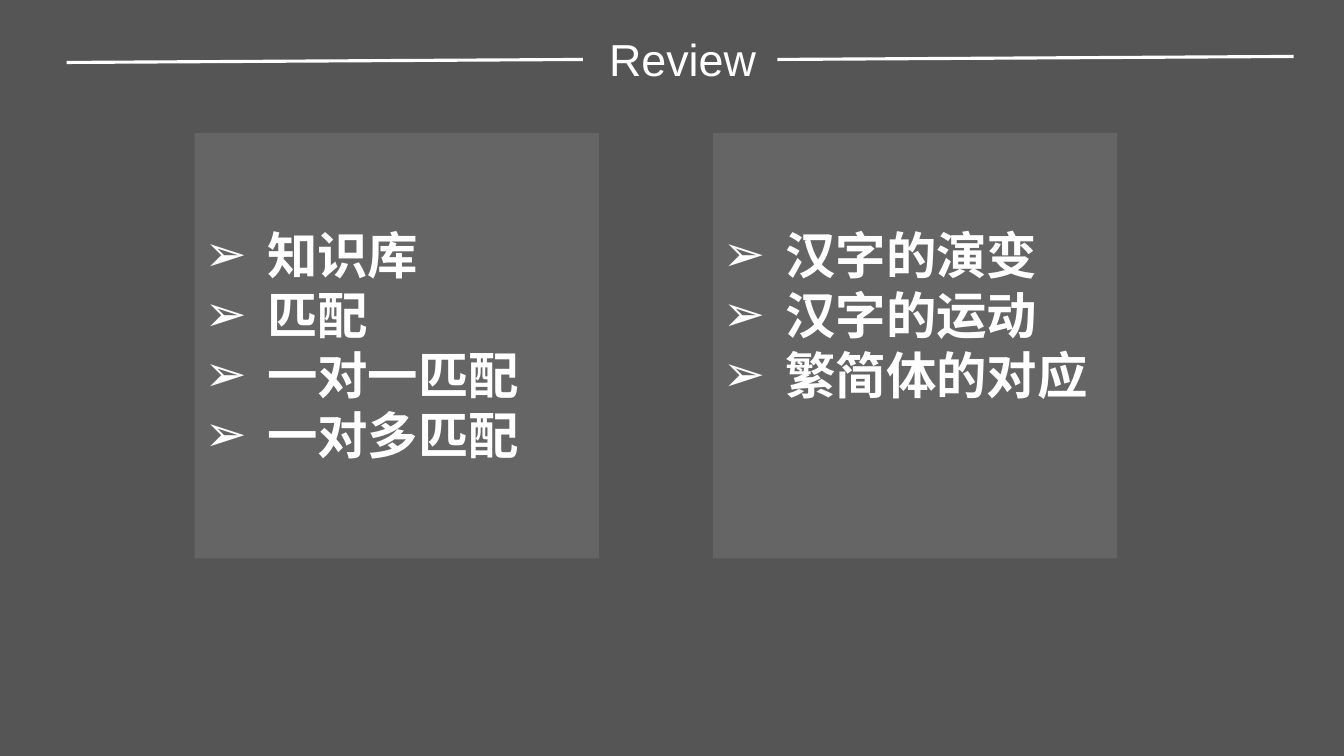
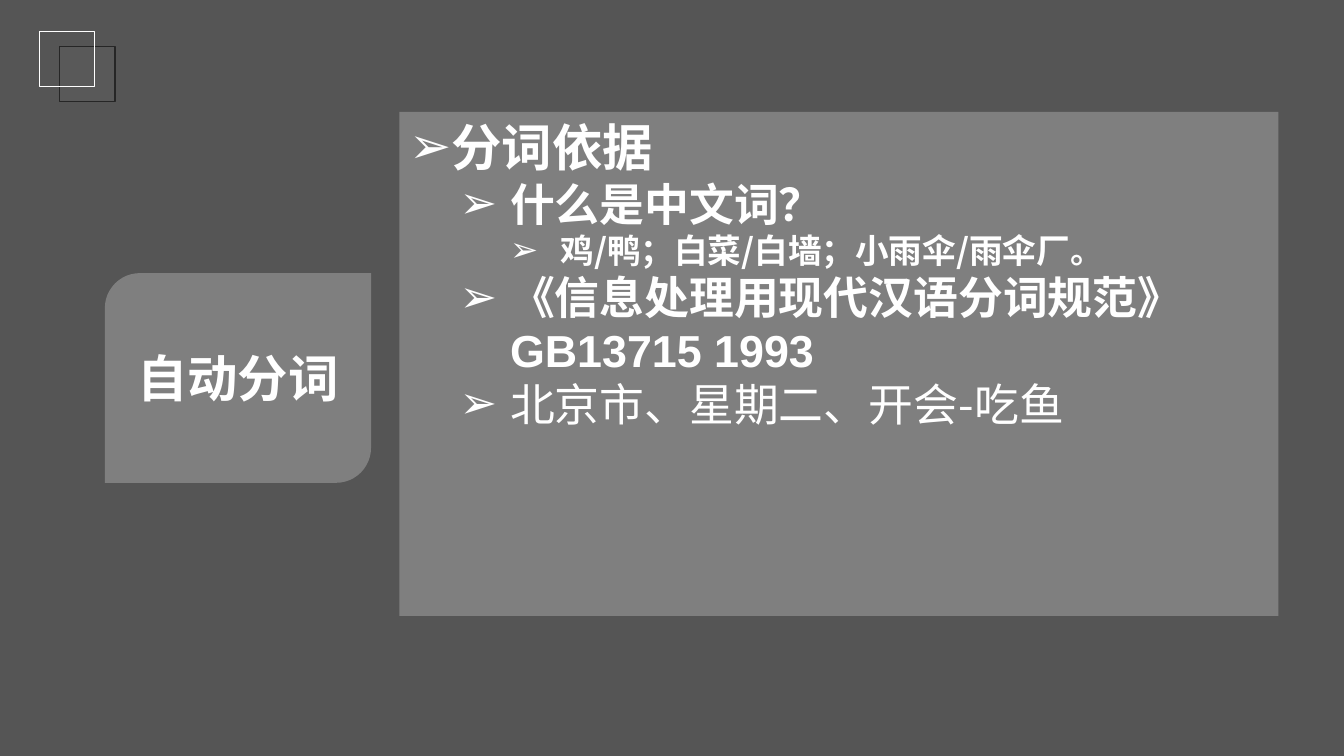
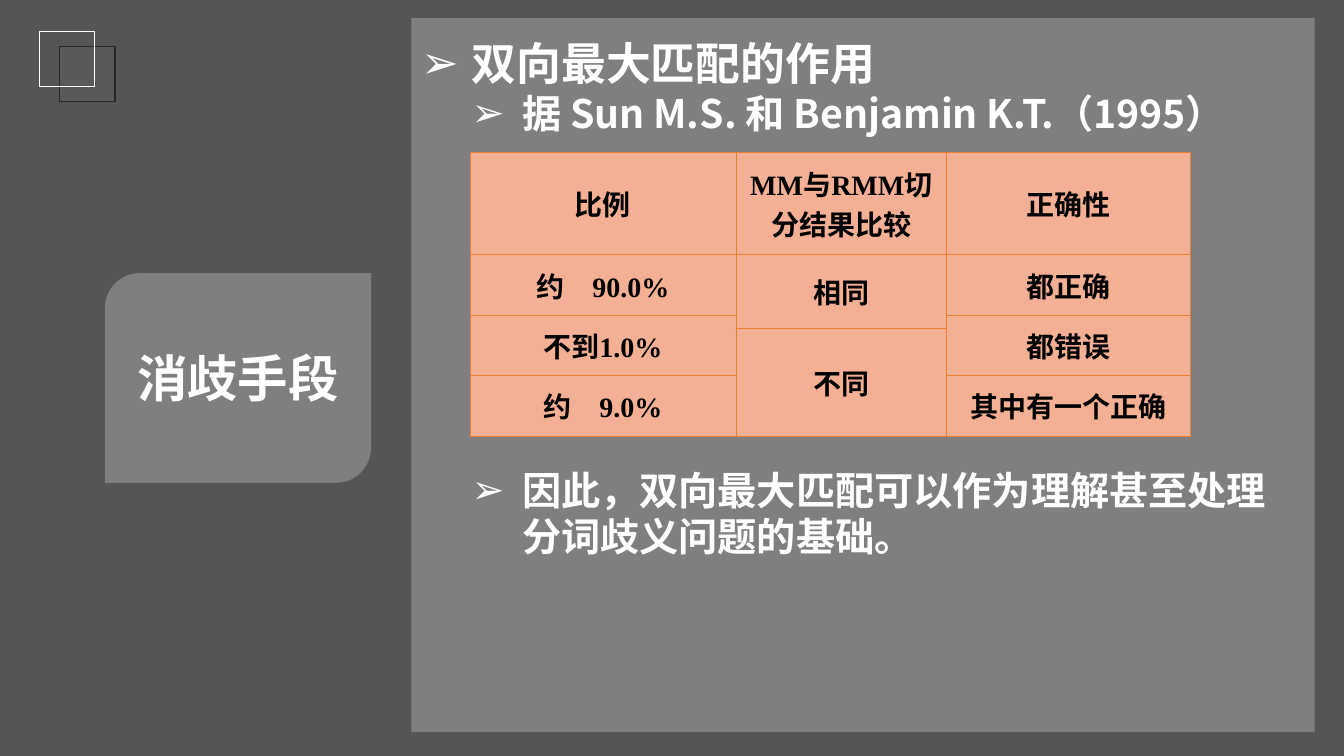
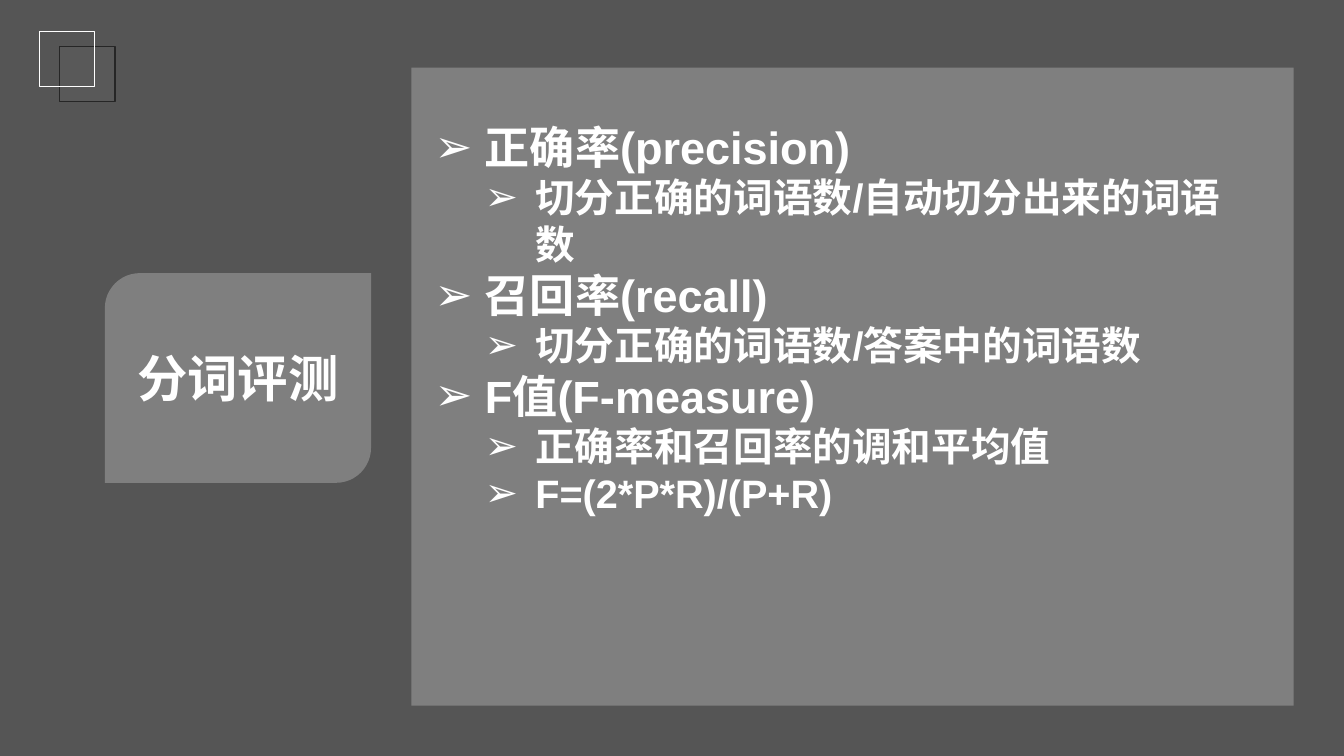
import pptx
import pptx.util
import pptx.dml.color
import pptx.enum.shapes
import pptx.enum.text
import pptx.oxml.ns
import lxml.etree

Inches = pptx.util.Inches
Pt = pptx.util.Pt
SHAPE = pptx.enum.shapes.MSO_SHAPE
ALIGN = pptx.enum.text.PP_ALIGN
ANCHOR = pptx.enum.text.MSO_ANCHOR
qn = pptx.oxml.ns.qn

# Shared style
BACK, WHITE, BLACK = "555555", "FFFFFF", "000000"
PEACH, ORANGE = "F4B095", "ED7D31"
NOTO, ARIAL, TIMES = "Noto Sans CJK SC", "Arial", "Times New Roman"
LEAD = 1.19  # line pitch as a multiple of the text size

# Content: bullet rows are (left margin, indent, size, text, options)
REVIEW = [
    (1.93, ["知识库", "匹配", "一对一匹配", "一对多匹配"]),
    (7.07, ["汉字的演变", "汉字的运动", "繁简体的对应"]),
]
RULES = [((0.66, 0.62), (5.78, 0.59)), ((7.71, 0.59), (12.83, 0.56))]

# Insets are left, top, right
TOPICS = [
    dict(label="自动分词", box=(3.96, 1.11, 8.72, 5), inset=(0.1, 0.05, 0.3), rows=[
        (0, -0.5, 36, "分词依据", {}),
        (1, -0.5, 32, "什么是中文词？", {}),
        (1.5, -0.5, 24, "鸡/鸭；白菜/白墙；小雨伞/雨伞厂。", {}),
        (1, -0.5, 32, "《信息处理用现代汉语分词规范》GB13715 1993", {"font": ARIAL}),
        (1, -0.5, 32, "北京市、星期二、开会-吃鱼", {"bold": False}),
    ]),
    dict(label="消歧手段", box=(4.08, 0.18, 8.96, 7.08), inset=(0.1, 0.18, 0.2), rows=[
        (0.5, -0.5, 32, "双向最大匹配的作用", {}),
        (1, -0.5, 28, "据 Sun M.S. 和 Benjamin K.T.（1995）", {}),
        (1, -0.5, 28, "因此，双向最大匹配可以作为理解甚至处理分词歧义问题的基础。",
         {"before": 236}),
    ]),
    dict(label="分词评测", box=(4.08, 0.67, 8.75, 6.33), inset=(0.23, 0.52, 0.39), rows=[
        (0.5 * level, -0.5, size, text, {"font": ARIAL})
        for level, size, text in [
            (1, 32.2, "正确率(precision)"),
            (2, 28.3, "切分正确的词语数/自动切分出来的词语数"),
            (1, 32.2, "召回率(recall)"),
            (2, 28.3, "切分正确的词语数/答案中的词语数"),
            (1, 32.2, "F值(F-measure)"),
            (2, 28.3, "正确率和召回率的调和平均值"),
            (2, 28.3, "F=(2*P*R)/(P+R)"),
        ]
    ]),
]

# Table: cells are (row, column, rows spanned, text)
COLS = [2.64, 2.09, 2.42]
ROWS = [1.01, 0.61, 0.13, 0.46, 0.61]
CELLS = [
    (0, 0, 1, "比例"), (0, 1, 1, "MM与RMM切分结果比较"), (0, 2, 1, "正确性"),
    (1, 0, 1, "约　90.0%"), (1, 1, 2, "相同"), (1, 2, 1, "都正确"),
    (2, 0, 2, "不到1.0%"), (2, 2, 2, "都错误"), (3, 1, 2, "不同"),
    (4, 0, 1, "约　9.0%"), (4, 2, 1, "其中有一个正确"),
]


def rgb(code):
    return pptx.dml.color.RGBColor.from_string(code)


def sub(parent, tag, **attrs):
    return lxml.etree.SubElement(parent, qn(tag), **attrs)


def style(para, size, font=NOTO, bold=True, color=WHITE):
    for run in para.runs:
        run.font.size, run.font.bold, run.font.name = Pt(size), bold, font
        run.font.color.rgb = rgb(color)
        sub(run.font._element, "a:ea", typeface=NOTO)


def shape(slide, kind, box, fill=None, alpha=100, line=None):
    item = slide.shapes.add_shape(kind, *map(Inches, box))
    item.shadow.inherit = False
    if fill:
        item.fill.solid()
        item.fill.fore_color.rgb = rgb(fill)
        if alpha < 100:
            tone = item.fill._xPr.find(".//" + qn("a:srgbClr"))
            sub(tone, "a:alpha", val=str(alpha * 1000))
    else:
        item.fill.background()
    if line:
        item.line.color.rgb = rgb(line)
        item.line.width = Pt(1)
    else:
        item.line.fill.background()
    return item


def panel(slide, box, inset, rows, fill=WHITE, alpha=25):
    """Translucent box holding a bulleted list."""
    frame = shape(slide, SHAPE.RECTANGLE, box, fill, alpha).text_frame
    frame.word_wrap = True
    frame.vertical_anchor = ANCHOR.TOP
    frame.margin_left, frame.margin_top, frame.margin_right = map(Inches, inset)
    frame.text = "\n".join(row[3] for row in rows)
    for para, (left, indent, size, text, opts) in zip(frame.paragraphs, rows):
        para.alignment = ALIGN.LEFT
        para.line_spacing = Pt(round(size * LEAD, 1))
        para.space_before = Pt(opts.get("before", 0))
        props = para._p.get_or_add_pPr()
        props.set("marL", str(Inches(left)))
        props.set("indent", str(Inches(indent)))
        sub(props, "a:buFont", typeface=ARIAL)
        sub(props, "a:buChar", char="➢")
        style(para, size, opts.get("font", NOTO), opts.get("bold", True))


def review(slide):
    # Title between two rules
    for start, end in RULES:
        rule = slide.shapes.add_connector(
            pptx.enum.shapes.MSO_CONNECTOR.STRAIGHT, *map(Inches, start + end))
        rule.line.color.rgb = rgb(WHITE)
        rule.line.width = Pt(2.25)
        sub(rule._element.spPr, "a:effectLst")
    frame = slide.shapes.add_textbox(*map(Inches, (5.17, 0.31, 3.2, 0.54))).text_frame
    frame.word_wrap = True
    frame.vertical_anchor = ANCHOR.MIDDLE
    frame.margin_left = frame.margin_top = frame.margin_right = frame.margin_bottom = 0
    frame.text = "Review"
    frame.paragraphs[0].alignment = ALIGN.CENTER
    style(frame.paragraphs[0], 32, ARIAL, False)
    # Two lists
    for left, words in REVIEW:
        rows = [(0.62, -0.62, 36, word, {}) for word in words]
        panel(slide, (left, 1.32, 4.01, 4.22), (0.1, 0.91, 0.1), rows, "F2F2F2", 10)


def topic(slide, label, box, inset, rows):
    # Corner squares
    shape(slide, SHAPE.RECTANGLE, (0.59, 0.46, 0.55, 0.55), "595959", line="262626")
    shape(slide, SHAPE.RECTANGLE, (0.39, 0.31, 0.55, 0.55), line=WHITE)
    # Label
    tab = shape(slide, SHAPE.ROUND_2_DIAG_RECTANGLE, (1.04, 2.71, 2.64, 2.08), WHITE, 25)
    frame = tab.text_frame
    frame.vertical_anchor = ANCHOR.MIDDLE
    frame.text = label
    para = frame.paragraphs[0]
    para.alignment = ALIGN.CENTER
    para.line_spacing = Pt(round(36 * LEAD, 1))
    style(para, 36)
    panel(slide, box, inset, rows)


def table(slide):
    grid = slide.shapes.add_table(
        len(ROWS), len(COLS), Inches(4.66), Inches(1.51),
        Inches(sum(COLS)), Inches(sum(ROWS))).table
    grid.first_row = grid.horz_banding = False
    for col, width in zip(grid.columns, COLS):
        col.width = Inches(width)
    for row, height in zip(grid.rows, ROWS):
        row.height = Inches(height)
    # Borders and fill
    for cell in grid.iter_cells():
        props = cell._tc.get_or_add_tcPr()
        for side in "LRTB":
            edge = sub(props, "a:ln" + side, w=str(Pt(0.5)))
            sub(sub(edge, "a:solidFill"), "a:srgbClr", val=ORANGE)
        cell.fill.solid()
        cell.fill.fore_color.rgb = rgb(PEACH)
    # Text
    for row, col, span, text in CELLS:
        cell = grid.cell(row, col)
        if span > 1:
            cell.merge(grid.cell(row + span - 1, col))
        cell.vertical_anchor = ANCHOR.MIDDLE
        cell.text_frame.text = text
        para = cell.text_frame.paragraphs[0]
        para.alignment = ALIGN.CENTER
        para.space_before = Pt(3.6)
        style(para, 20, TIMES, color=BLACK)


def main():
    deck = pptx.Presentation()
    deck.slide_width, deck.slide_height = Inches(13.33), Inches(7.5)
    back = deck.slide_master.background.fill
    back.solid()
    back.fore_color.rgb = rgb(BACK)
    blank = deck.slide_layouts[6]
    review(deck.slides.add_slide(blank))
    for item in TOPICS:
        topic(deck.slides.add_slide(blank), **item)
    table(deck.slides[2])
    deck.save("out.pptx")


if __name__ == "__main__":
    main()
